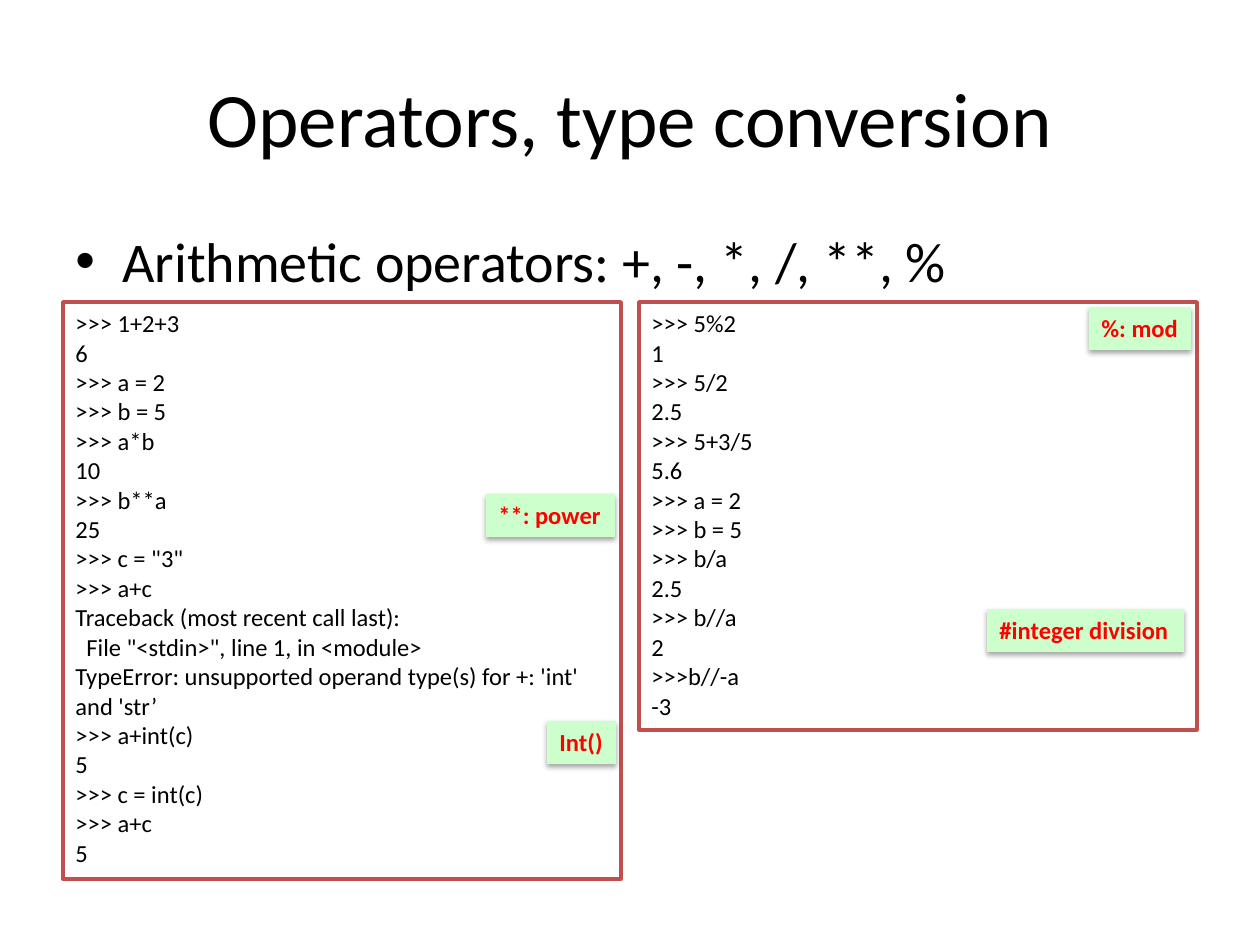
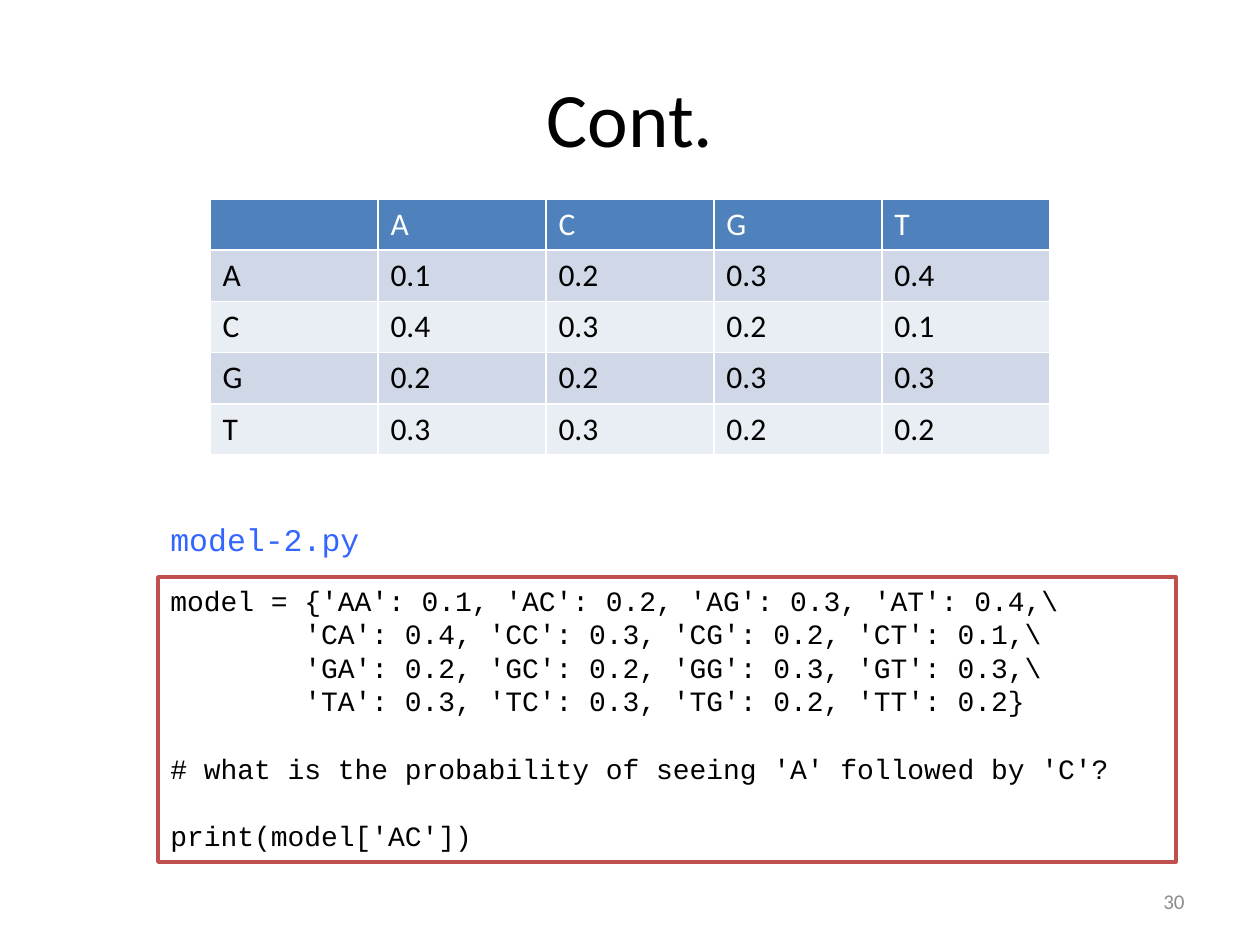
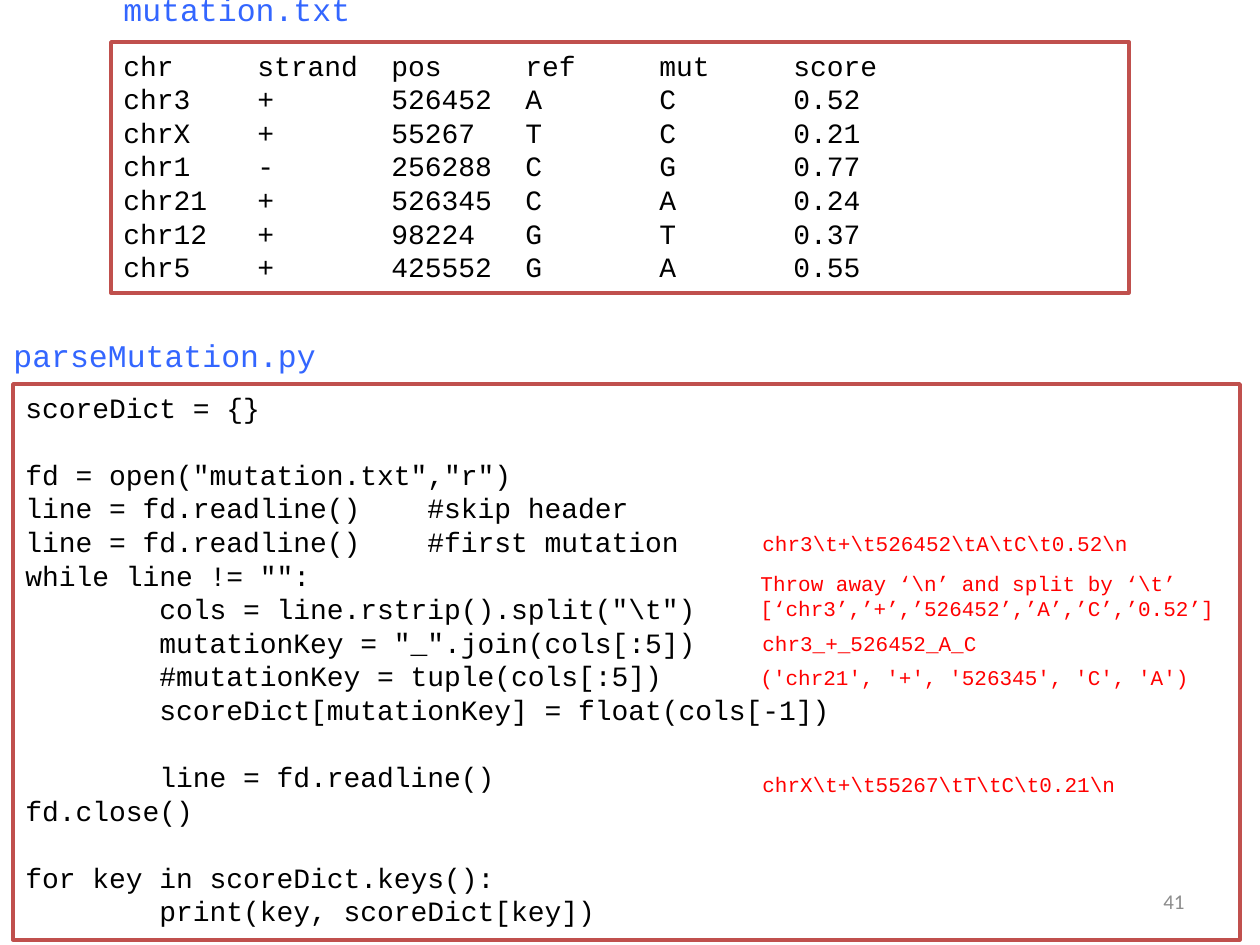
from lxml.etree import SubElement
from pptx import Presentation
from pptx.dml.color import RGBColor
from pptx.enum.shapes import MSO_SHAPE as Shape
from pptx.enum.text import MSO_ANCHOR as Anchor, PP_ALIGN as Align
from pptx.oxml.ns import qn
from pptx.util import Emu, Pt

EMU_PER_PX = 914400 / 126
TITLE_ONLY, BLANK = 5, 6
BODY_FONT, CODE_FONT = "Calibri", "Courier New"
BLACK, WHITE, RED, GRAY = "000000", "FFFFFF", "FF0000", "8C8C8C"
FRAME_RED, TAG_GREEN, FILE_BLUE = "C0504D", "CCFFCC", "3366FF"
HEADER_BLUE, ROW_BANDS = "4F81BD", ("D0D8E8", "E9EDF4")
CODE_TAB, TRACEBACK_TAB = 134, 11

OPERATORS_LEFT = [
    ">>> 1+2+3", "6", ">>> a = 2", ">>> b = 5", ">>> a*b", "10",
    ">>> b**a", "25", '>>> c = "3"', ">>> a+c",
    "Traceback (most recent call last):",
    '\tFile "<stdin>", line 1, in <module>',
    "TypeError: unsupported operand type(s) for +: 'int' and 'str’",
    ">>> a+int(c)", "5", ">>> c = int(c)", ">>> a+c", "5",
]
OPERATORS_RIGHT = [
    ">>> 5%2", "1", ">>> 5/2", "2.5", ">>> 5+3/5", "5.6", ">>> a = 2",
    ">>> b = 5", ">>> b/a", "2.5", ">>> b//a", "2", ">>>b//-a", "-3",
]
OPERATOR_TAGS = [
    ("Int()", 547, 721, 69),
    ("#integer division", 987, 609, 197),
    ("%: mod", 1089, 307, 102),
    ("**: power", 486, 494, 129),
]
TRANSITIONS = [
    ["", "A", "C", "G", "T"],
    ["A", "0.1", "0.2", "0.3", "0.4"],
    ["C", "0.4", "0.3", "0.2", "0.1"],
    ["G", "0.2", "0.2", "0.3", "0.3"],
    ["T", "0.3", "0.3", "0.2", "0.2"],
]
MODEL_CODE = [
    "model = {'AA': 0.1, 'AC': 0.2, 'AG': 0.3, 'AT': 0.4,\\",
    "\t'CA': 0.4, 'CC': 0.3, 'CG': 0.2, 'CT': 0.1,\\",
    "\t'GA': 0.2, 'GC': 0.2, 'GG': 0.3, 'GT': 0.3,\\",
    "\t'TA': 0.3, 'TC': 0.3, 'TG': 0.2, 'TT': 0.2}",
    "",
    "# what is the probability of seeing 'A' followed by 'C'?",
    "",
    "print(model['AC'])",
]
MUTATION_ROWS = [
    "chr\tstrand\tpos\tref\tmut\tscore",
    "chr3\t+\t526452\tA\tC\t0.52",
    "chrX\t+\t55267\tT\tC\t0.21",
    "chr1\t-\t256288\tC\tG\t0.77",
    "chr21\t+\t526345\tC\tA\t0.24",
    "chr12\t+\t98224\tG\tT\t0.37",
    "chr5\t+\t425552\tG\tA\t0.55",
]
PARSE_CODE = [
    "scoreDict = {}",
    "",
    'fd = open("mutation.txt","r")',
    "line = fd.readline()\t#skip header",
    "line = fd.readline()\t#first mutation",
    'while line != "":',
    '\tcols = line.rstrip().split("\\t")',
    '\tmutationKey = "_".join(cols[:5])',
    "\t#mutationKey = tuple(cols[:5])",
    "\tscoreDict[mutationKey] = float(cols[-1])",
    "",
    "\tline = fd.readline()",
    "fd.close()",
    "",
    "for key in scoreDict.keys():",
    "\tprint(key, scoreDict[key])",
]
PARSE_NOTES = [
    (["chr3\\t+\\t526452\\tA\\tC\\t0.52\\n"], 750, 524, 394, 38),
    (["Throw away ‘\\n’ and split by ‘\\t’",
      "[‘chr3’,’+’,’526452’,’A’,’C’,’0.52’]"], 748, 564, 484, 63),
    (["chr3_+_526452_A_C"], 750, 624, 242, 38),
    (["('chr21', '+', '526345', 'C', 'A')"], 748, 658, 459, 38),
    (["chrX\\t+\\t55267\\tT\\tC\\t0.21\\n"], 750, 765, 382, 38),
]


def px(length):
    """Turn a length in px into EMU."""
    return Emu(round(length * EMU_PER_PX))


def box(left, top, width, height):
    """Return the four px lengths in EMU."""
    return [px(length) for length in (left, top, width, height)]


def rgb(color):
    """Turn a hex string into a colour."""
    return RGBColor.from_string(color)


def set_tabs(paragraph, tab_width):
    """Give a paragraph equally spaced left tab stops."""
    tab_list = SubElement(paragraph._p.get_or_add_pPr(), qn("a:tabLst"))
    for number in range(1, 6):
        SubElement(tab_list, qn("a:tab"), pos=str(px(number * tab_width)), algn="l")


def write_text(frame, lines, size=14, font=BODY_FONT, color=BLACK, bold=False,
               align=Align.LEFT, anchor=Anchor.TOP, wrap=True, tab_width=None):
    """Write lines as paragraphs, with an empty line as space before the next."""
    frame.word_wrap = wrap
    frame.vertical_anchor = anchor
    paragraph, gap = frame.paragraphs[0], False
    for index, line in enumerate(lines):
        if not line:
            gap = True
            continue
        if index:
            paragraph = frame.add_paragraph()
        paragraph.alignment = align
        if gap:
            paragraph.space_before = Pt(size * 1.2)
            gap = False
        if tab_width and "\t" in line:
            set_tabs(paragraph, tab_width)
        run = paragraph.add_run()
        run.text = line
        run.font.size = Pt(size)
        run.font.name = font
        run.font.bold = bold
        run.font.color.rgb = rgb(color)


def add_titled_slide(presentation, title):
    """Add a slide with a centred title."""
    slide = presentation.slides.add_slide(presentation.slide_layouts[TITLE_ONLY])
    shape = slide.shapes.title
    shape.left, shape.top, shape.width, shape.height = box(63, 38, 1134, 158)
    write_text(shape.text_frame, [title], size=44, align=Align.CENTER, anchor=Anchor.MIDDLE)
    return slide


def add_label(slide, lines, left, top, width, height, **text_format):
    """Add a plain text box."""
    shape = slide.shapes.add_textbox(*box(left, top, width, height))
    write_text(shape.text_frame, lines, **text_format)
    return shape


def add_bullet(slide, text):
    """Add the bulleted statement below the title."""
    shape = add_label(slide, [text], 63, 220, 1134, 80, size=32)
    properties = shape.text_frame.paragraphs[0]._p.get_or_add_pPr()
    properties.set("marL", str(px(47)))
    properties.set("indent", str(px(-47)))
    SubElement(properties, qn("a:buFont"), typeface="Arial")
    SubElement(properties, qn("a:buChar"), char="•")


def add_rectangle(slide, left, top, width, height, fill):
    """Add a filled rectangle without line or shadow."""
    shape = slide.shapes.add_shape(Shape.RECTANGLE, *box(left, top, width, height))
    shape.shadow.inherit = False
    shape.fill.solid()
    shape.fill.fore_color.rgb = rgb(fill)
    shape.line.fill.background()
    return shape


def add_code(slide, lines, left, top, width, height, size=16, font=CODE_FONT,
             tab_width=CODE_TAB):
    """Add a red-framed listing."""
    shape = add_rectangle(slide, left, top, width, height, WHITE)
    shape.line.color.rgb = rgb(FRAME_RED)
    shape.line.width = Pt(2)
    write_text(shape.text_frame, lines, size=size, font=font, tab_width=tab_width)


def add_tag(slide, text, left, top, width):
    """Add a green tag with a soft shadow below."""
    shape = add_rectangle(slide, left, top, width, 43, TAG_GREEN)
    effects = shape._element.spPr.find(qn("a:effectLst"))
    shadow = SubElement(effects, qn("a:outerShdw"), blurRad=str(Pt(3.1)),
                        dist=str(Pt(1.8)), dir="5400000", rotWithShape="0")
    shade = SubElement(shadow, qn("a:srgbClr"), val=BLACK)
    SubElement(shade, qn("a:alpha"), val="35000")
    write_text(shape.text_frame, [text], color=RED, bold=True, wrap=False)


def add_file_name(slide, name, left, top, width):
    """Add the blue name of a file above its listing."""
    add_label(slide, [name], left, top, width, 50, size=18, font=CODE_FONT,
              color=FILE_BLUE, wrap=False)


def add_slide_number(slide, number):
    """Add the slide number at the lower right."""
    add_label(slide, [str(number)], 903, 876, 294, 50, size=12, color=GRAY,
              align=Align.RIGHT, anchor=Anchor.MIDDLE)


def add_transition_table(slide, rows):
    """Add the banded table of transition probabilities."""
    frame = slide.shapes.add_table(len(rows), len(rows[0]), *box(210, 199, 840, 256))
    for row_index, row in enumerate(rows):
        header = row_index == 0
        fill = HEADER_BLUE if header else ROW_BANDS[(row_index - 1) % 2]
        for column_index, value in enumerate(row):
            cell = frame.table.cell(row_index, column_index)
            cell.fill.solid()
            cell.fill.fore_color.rgb = rgb(fill)
            write_text(cell.text_frame, [value], size=18, color=WHITE if header else BLACK)


def build_operators(presentation):
    """Build the slide on operators and type conversion."""
    slide = add_titled_slide(presentation, "Operators, type conversion")
    add_bullet(slide, "Arithmetic operators: +, -, *, /, **, %")
    session = {"size": 14, "font": BODY_FONT, "tab_width": TRACEBACK_TAB}
    add_code(slide, OPERATORS_LEFT, 63, 302, 558, 577, **session)
    add_code(slide, OPERATORS_RIGHT, 639, 302, 558, 428, **session)
    for tag in OPERATOR_TAGS:
        add_tag(slide, *tag)


def build_model(presentation):
    """Build the slide with the transition model."""
    slide = add_titled_slide(presentation, "Cont.")
    add_code(slide, MODEL_CODE, 158, 577, 1018, 285)
    add_file_name(slide, "model-2.py", 158, 514, 217)
    add_slide_number(slide, 30)
    add_transition_table(slide, TRANSITIONS)


def build_mutations(presentation):
    """Build the slide that parses the mutation file."""
    slide = presentation.slides.add_slide(presentation.slide_layouts[BLANK])
    add_code(slide, MUTATION_ROWS, 111, 42, 1018, 251)
    add_file_name(slide, "mutation.txt", 111, -16, 255)
    add_code(slide, PARSE_CODE, 13, 384, 1227, 556)
    add_file_name(slide, "parseMutation.py", 1, 330, 331)
    for note in PARSE_NOTES:
        add_label(slide, *note, size=12, font=CODE_FONT, color=RED, wrap=False)
    add_slide_number(slide, 41)


def main():
    """Build the presentation and save it."""
    presentation = Presentation()
    presentation.slide_width, presentation.slide_height = px(1260), px(945)
    build_operators(presentation)
    build_model(presentation)
    build_mutations(presentation)
    presentation.save("out.pptx")


if __name__ == "__main__":
    main()
